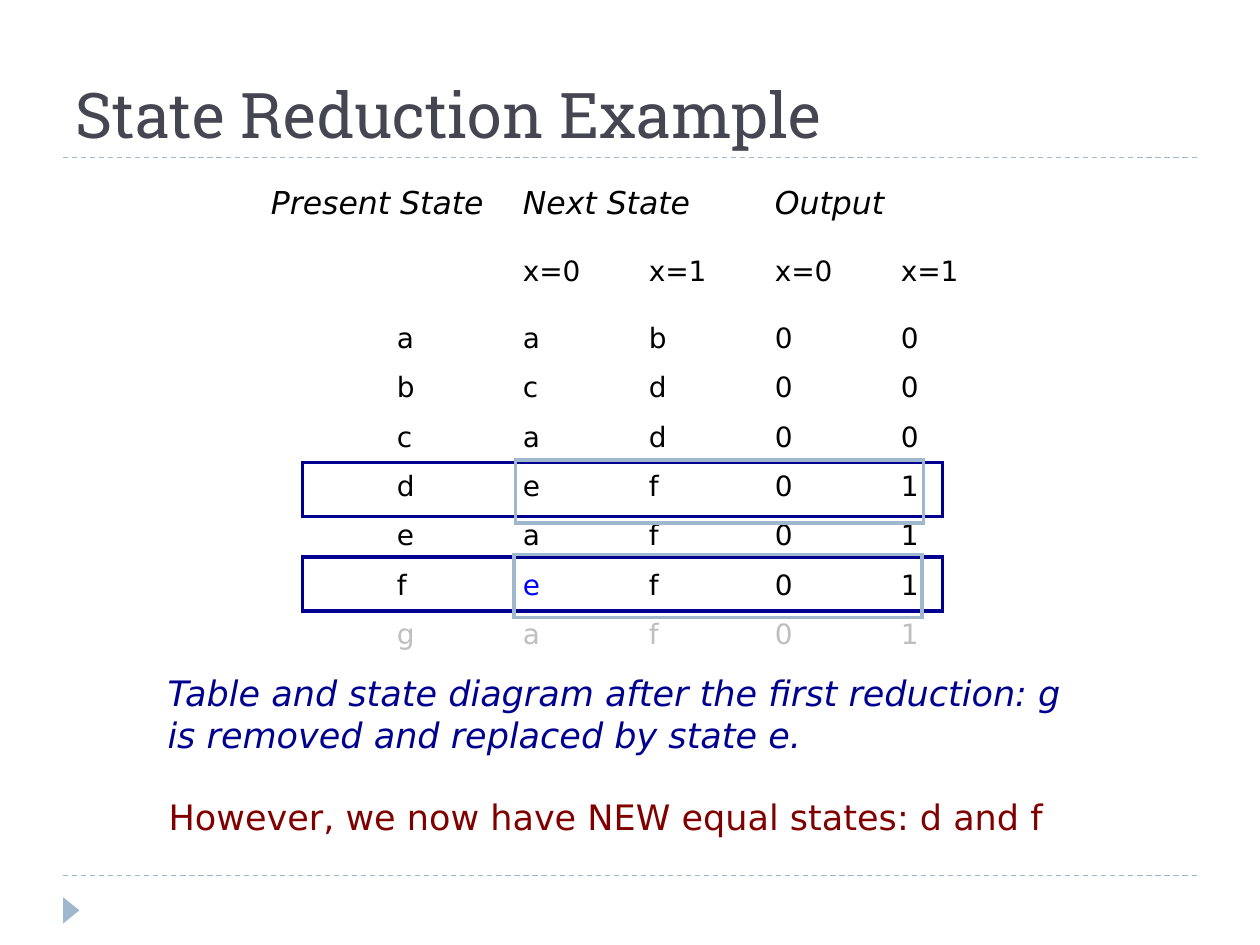
from lxml import etree
from pptx import Presentation
from pptx.dml.color import RGBColor
from pptx.enum.dml import MSO_LINE
from pptx.enum.shapes import MSO_CONNECTOR, MSO_SHAPE
from pptx.enum.text import MSO_ANCHOR, MSO_AUTO_SIZE, PP_ALIGN
from pptx.oxml.ns import qn
from pptx.util import Inches, Pt

COLORS = {
    "title": "464653",
    "accent": "9FB8CD",
    "text": "000000",
    "changed": "0000FF",
    "removed": "BFBFBF",
    "note": "000090",
    "warning": "800000",
}
TITLE_FONT = "Roboto Slab"
BODY_FONT = "DejaVu Sans"

HEADINGS = ["Present State", "Next State", "Output"]
INPUTS = ["", "", "x=0", "x=1", "x=0", "x=1"]
# Each row: present state, next states, outputs
STATES = ["aab00", "bcd00", "cad00", "def01", "eaf01", "fef01", "gaf01"]


def rgb(name):
    return RGBColor.from_string(COLORS[name])


def style(font, size, color, name=BODY_FONT, italic=False):
    font.size, font.name, font.italic = Pt(size), name, italic
    font.color.rgb = rgb(color)


def add_text_frame(slide, left, top, width, height, wrap=True):
    frame = slide.shapes.add_textbox(
        Inches(left), Inches(top), Inches(width), Inches(height)).text_frame
    frame.margin_left = frame.margin_right = 0
    frame.margin_top = frame.margin_bottom = 0
    frame.word_wrap = wrap
    frame.auto_size = MSO_AUTO_SIZE.NONE
    return frame


def add_title(slide, left, top, width, height):
    title = slide.shapes.title
    title.left, title.top = Inches(left), Inches(top)
    title.width, title.height = Inches(width), Inches(height)
    frame = title.text_frame
    frame.text = "State Reduction Example"
    frame.vertical_anchor = MSO_ANCHOR.BOTTOM
    paragraph = frame.paragraphs[0]
    paragraph.alignment = PP_ALIGN.LEFT
    style(paragraph.font, 36, "title", TITLE_FONT)


def add_rule(slide, left, top, width):
    rule = slide.shapes.add_connector(
        MSO_CONNECTOR.STRAIGHT, Inches(left), Inches(top),
        Inches(left + width), Inches(top))
    rule.line.color.rgb = rgb("accent")
    rule.line.width = Pt(0.75)
    rule.line.dash_style = MSO_LINE.DASH
    etree.SubElement(rule._element.spPr, qn("a:effectLst"))


def add_footer_marker(slide, left, top, width, height):
    marker = slide.shapes.add_shape(
        MSO_SHAPE.ISOSCELES_TRIANGLE, Inches(left), Inches(top),
        Inches(width), Inches(height))
    marker.rotation = 90
    marker.shadow.inherit = False
    marker.fill.solid()
    marker.fill.fore_color.rgb = rgb("accent")
    marker.line.fill.background()


def set_column_tabs(paragraph):
    """Put a left tab stop at every inch, one for each column."""
    stops = etree.Element(qn("a:tabLst"))
    for column in range(1, len(INPUTS)):
        etree.SubElement(stops, qn("a:tab"), pos=str(Inches(column)), algn="l")
    properties = paragraph._p.get_or_add_pPr()
    properties.find(qn("a:defRPr")).addprevious(stops)


def add_state_table(slide, left, top, width, height):
    frame = add_text_frame(slide, left, top, width, height)
    headings = frame.paragraphs[0]
    headings.text = "\t".join(HEADINGS)
    style(headings.font, 18, "text", italic=True)
    headings.space_after = Pt(19)

    inputs = frame.add_paragraph()
    inputs.text = "\t".join(INPUTS)
    style(inputs.font, 16, "text")
    inputs.space_after = Pt(19)

    for state in STATES:
        row = frame.add_paragraph()
        row.space_after = Pt(9)
        style(row.font, 16, "removed" if state[0] == "g" else "text")
        if state[0] != "f":
            row.text = "\t" + "\t".join(state)
            continue
        parts = [("\tf\t", "text"), (state[1], "changed"),
                 ("\t" + "\t".join(state[2:]), "text")]
        for text, color in parts:
            run = row.add_run()
            run.text = text
            run.font.color.rgb = rgb(color)

    for paragraph in frame.paragraphs:
        set_column_tabs(paragraph)


def add_note(slide, left, top, width, height):
    frame = add_text_frame(slide, left, top, width, height)
    frame.text = ("Table and state diagram after the first reduction: "
                  "g is removed and replaced by state e.")
    style(frame.paragraphs[0].font, 20, "note", italic=True)


def add_warning(slide, left, top, width, height):
    frame = add_text_frame(slide, left, top, width, height, wrap=False)
    frame.text = "However, we now have NEW equal states: d and f"
    frame.vertical_anchor = MSO_ANCHOR.BOTTOM
    paragraph = frame.paragraphs[0]
    paragraph.alignment = PP_ALIGN.CENTER
    style(paragraph.font, 20, "warning")


def add_outline(slide, left, top, width, height, color):
    outline = slide.shapes.add_shape(
        MSO_SHAPE.RECTANGLE, Inches(left), Inches(top),
        Inches(width), Inches(height))
    outline.shadow.inherit = False
    outline.fill.background()
    outline.line.color.rgb = rgb(color)
    outline.line.width = Pt(2)
    line = outline._element.spPr.find(qn("a:ln"))
    etree.SubElement(line, qn("a:miter"), lim="800000")


def main():
    prs = Presentation()
    prs.slide_width, prs.slide_height = Inches(10), Inches(7.5)
    slide = prs.slides.add_slide(prs.slide_layouts[5])

    for rule_top in (6.95, 1.25):
        add_rule(slide, 0.5, rule_top, 9)
    add_footer_marker(slide, 0.46, 7.16, 0.21, 0.13)
    add_title(slide, 0.5, 0.17, 9, 1.08)
    add_state_table(slide, 2.15, 1.45, 6.19, 3.72)
    add_note(slide, 1.33, 5.33, 7.37, 0.67)
    add_warning(slide, 1.29, 6.25, 7.04, 0.4)

    for row_top in (4.42, 3.67):
        add_outline(slide, 2.4, row_top, 5.08, 0.43, "note")
    for left, top in ((4.09, 3.65), (4.08, 4.4)):
        add_outline(slide, left, top, 3.24, 0.5, "accent")

    prs.save("out.pptx")


if __name__ == "__main__":
    main()
